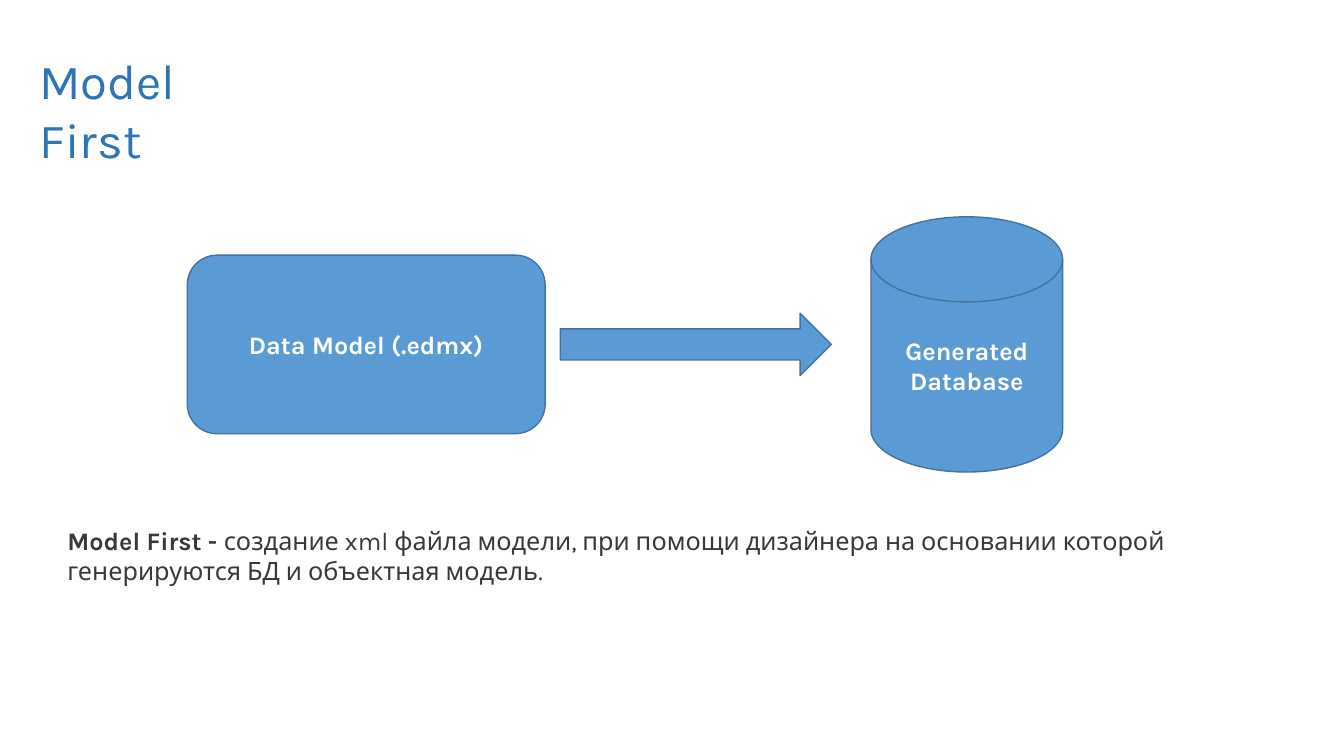
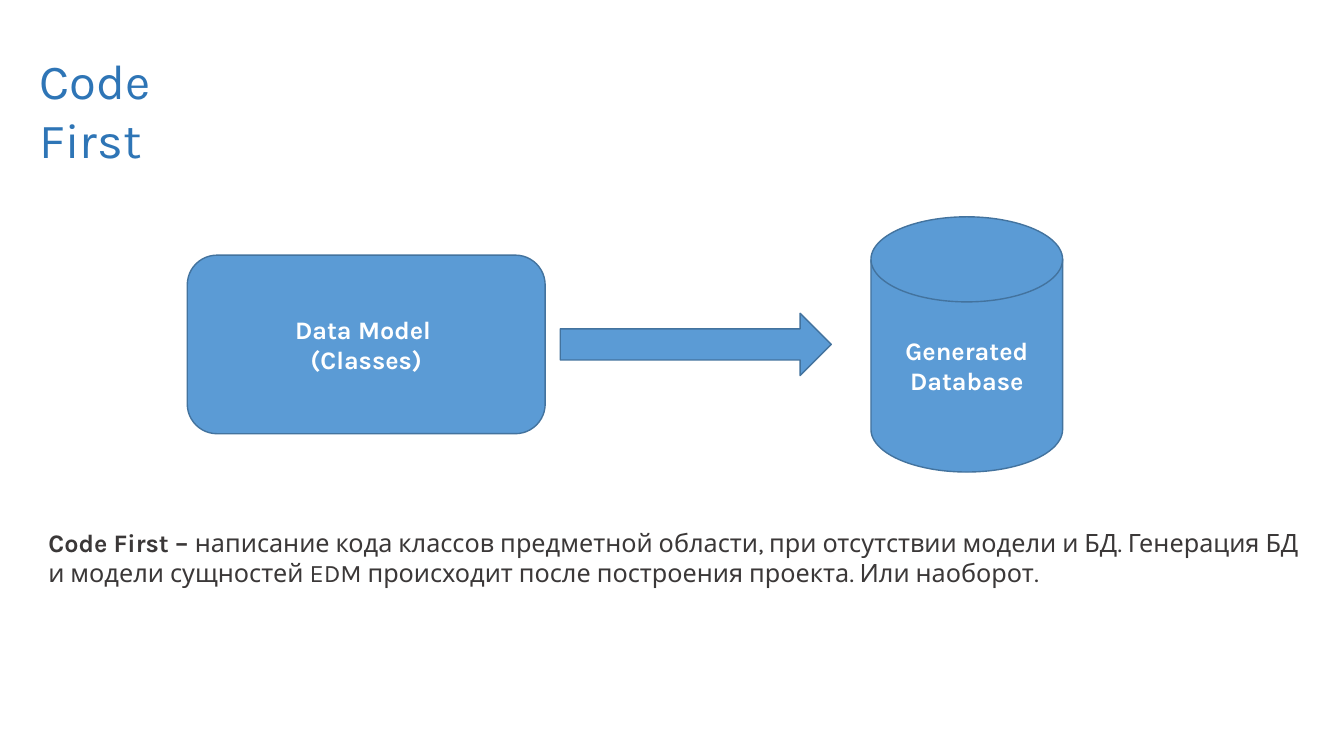
"""Build two slides on the Model First and Code First workflows."""
import pptx
import pptx.dml.color
import pptx.enum.shapes
import pptx.enum.text
import pptx.util

Cm = pptx.util.Cm
Pt = pptx.util.Pt
RGB = pptx.dml.color.RGBColor
KIND = pptx.enum.shapes.MSO_SHAPE
ALIGN = pptx.enum.text.PP_ALIGN
ANCHOR = pptx.enum.text.MSO_ANCHOR
FIT = pptx.enum.text.MSO_AUTO_SIZE

TITLE = RGB(0x2E, 0x75, 0xB6)
FILL = RGB(0x5B, 0x9B, 0xD5)
EDGE = RGB(0x43, 0x73, 0x9E)
WHITE = RGB(0xFF, 0xFF, 0xFF)
DARK = RGB(0x3B, 0x38, 0x38)
FACE = "Karla"
AXIS = 8.68
RIGHT = 33.05


def style(run, size, color, bold):
    run.font.name = FACE
    run.font.size = Pt(size)
    run.font.color.rgb = color
    run.font.bold = bold


def add_part(slide, kind, left, width, height, text):
    part = slide.shapes.add_shape(
        kind, Cm(left), Cm(AXIS - height / 2), Cm(width), Cm(height))
    part.shadow.inherit = False
    part.fill.solid()
    part.fill.fore_color.rgb = FILL
    part.line.color.rgb = EDGE
    part.line.width = Pt(1)
    frame = part.text_frame
    frame.text = text
    frame.vertical_anchor = ANCHOR.MIDDLE
    for para in frame.paragraphs:
        para.alignment = ALIGN.CENTER
        for run in para.runs:
            style(run, 18, WHITE, True)


deck = pptx.Presentation()
deck.slide_width = Cm(33.87)
deck.slide_height = Cm(19.05)

topics = [
    ("Model First", "Data Model (.edmx)", 1.45, 13.11, "Model First - ",
     "создание xml файла модели, при помощи дизайнера на основании которой "
     "генерируются БД и объектная модель."),
    ("Code First", "Data Model \n(Classes)", 0.97, 13.16, "Code First – ",
     "написание кода классов предметной области, при отсутствии модели и БД. "
     "Генерация БД и модели сущностей EDM происходит после построения проекта. "
     "Или наоборот."),
]

for name, model, left, top, lead, body in topics:
    slide = deck.slides.add_slide(deck.slide_layouts[5])

    title = slide.shapes.title
    title.left, title.top = Cm(0.74), Cm(1.14)
    title.width, title.height = Cm(4.8), Cm(3.2)
    frame = title.text_frame
    frame.text = name
    frame.word_wrap = True
    frame.auto_size = FIT.NONE
    frame.vertical_anchor = ANCHOR.TOP
    frame.paragraphs[0].alignment = ALIGN.LEFT
    style(frame.paragraphs[0].runs[0], 35, TITLE, False)

    add_part(slide, KIND.FLOWCHART_MAGNETIC_DISK, 21.95, 4.83, 6.43,
             "Generated\nDatabase")
    add_part(slide, KIND.ROUNDED_RECTANGLE, 4.72, 9.02, 4.5, model)
    add_part(slide, KIND.RIGHT_ARROW, 14.12, 6.83, 1.57, "")

    note = slide.shapes.add_textbox(
        Cm(left), Cm(top), Cm(RIGHT - left), Cm(1.8))
    note.text_frame.word_wrap = True
    para = note.text_frame.paragraphs[0]
    for text, bold in ((lead, True), (body, False)):
        run = para.add_run()
        run.text = text
        style(run, 18, DARK, bold)

deck.save("out.pptx")
